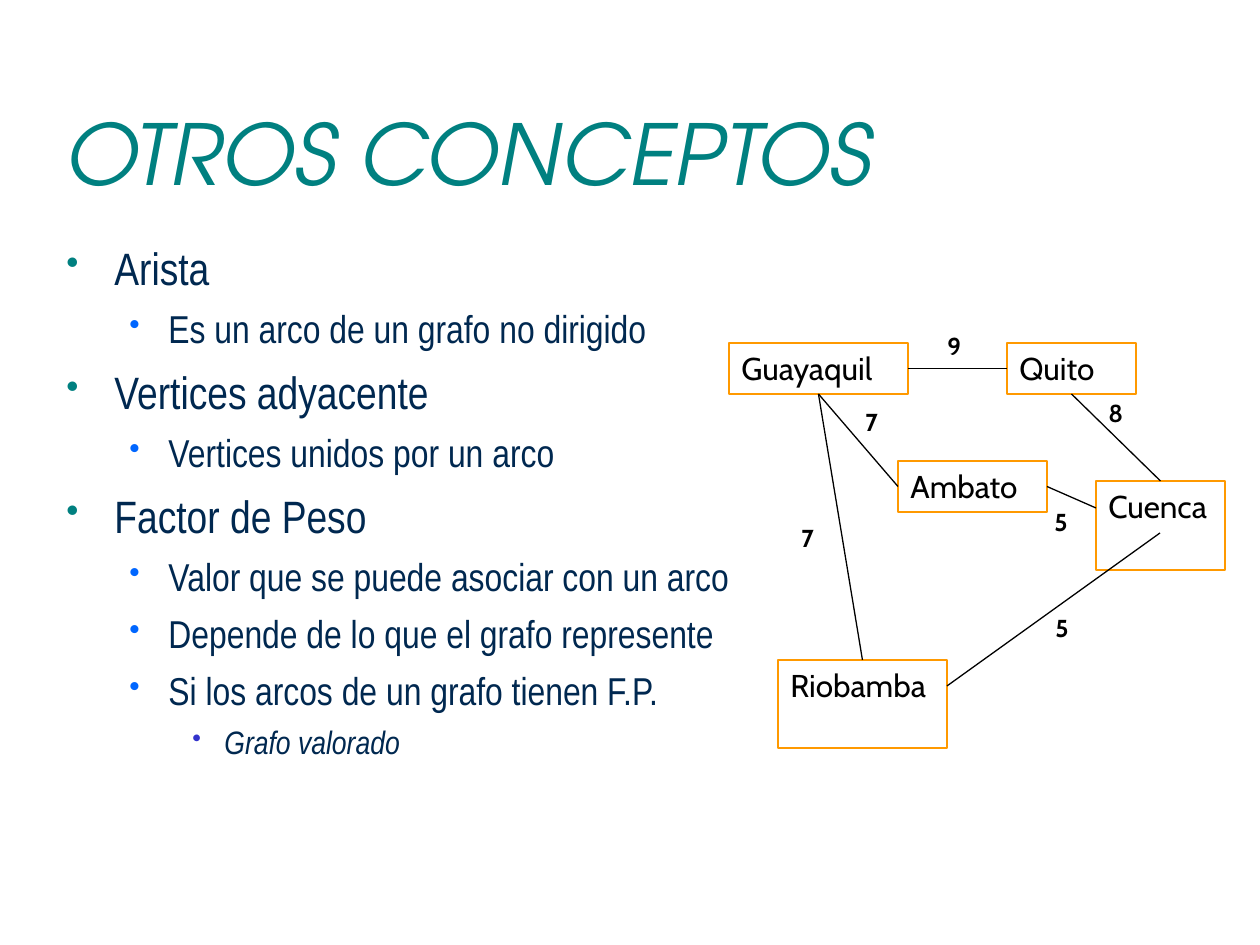
from dataclasses import dataclass
from lxml.etree import SubElement
from pptx import Presentation
from pptx.dml.color import RGBColor
from pptx.enum.shapes import MSO_CONNECTOR, MSO_SHAPE
from pptx.enum.text import MSO_ANCHOR, PP_ALIGN
from pptx.oxml.ns import qn
from pptx.util import Emu, Pt

PX = 914400 / 126
TOP, LEFT, BOTTOM, RIGHT = range(4)


@dataclass(frozen=True)
class Theme:
    """Colours, line width and type formats of the slide."""
    teal: str = "008080"
    navy: str = "002850"
    black: str = "000000"
    orange: str = "FF9900"
    bullets: tuple = ("008080", "0066FF", "3333CC")
    line: float = 0.75
    title = {"name": "TeX Gyre Adventor", "size": Pt(48), "italic": True}
    levels = (
        {"name": "Arial Narrow", "size": Pt(25.9)},
        {"name": "Arial Narrow", "size": Pt(22.2)},
        {"name": "Arial Narrow", "size": Pt(18.5), "italic": True},
    )
    node = {"name": "Cabin", "size": Pt(18)}
    weight = {"name": "Cabin", "size": Pt(14), "bold": True}


T = Theme()

POINTS = [
    (0, "Arista"),
    (1, "Es un arco de un grafo no dirigido"),
    (0, "Vertices adyacente"),
    (1, "Vertices unidos por un arco"),
    (0, "Factor de Peso"),
    (1, "Valor que se puede asociar con un arco"),
    (1, "Depende de lo que el grafo represente"),
    (1, "Si los arcos de un grafo tienen F.P."),
    (2, "Grafo valorado"),
]
INDENTS = [(48, 48), (102, 39), (158, 32)]
CITIES = {
    "Guayaquil": (0, 18, 179, 51),
    "Quito": (278, 18, 129, 51),
    "Cuenca": (367, 156, 129, 89),
    "Ambato": (169, 136, 149, 51),
    "Riobamba": (49, 335, 169, 88),
}
EDGES = [
    (("Guayaquil", RIGHT), ("Quito", LEFT)),
    (("Guayaquil", BOTTOM), ("Riobamba", TOP)),
    (("Guayaquil", BOTTOM), ("Ambato", LEFT)),
    (("Ambato", RIGHT), (367, 183)),
    ((218, 361), (431, 208)),
    (("Cuenca", TOP), ("Quito", BOTTOM)),
]
WEIGHTS = [
    ("5", 314, 282, 89),
    ("5", 313, 176, 49),
    ("7", 124, 76, 89),
    ("9", 206, 0, 49),
    ("8", 367, 67, 89),
    ("7", 60, 192, 49),
]


def px(n):
    """Turn px into EMU."""
    return Emu(round(n * PX))


def add_run(p, text, fmt, color):
    """Add a formatted run to a left-aligned paragraph."""
    p.alignment = PP_ALIGN.LEFT
    r = p.add_run()
    r.text = text
    for key, value in fmt.items():
        setattr(r.font, key, value)
    r.font.color.rgb = RGBColor.from_string(color)


def add_box(s, box, anchor=MSO_ANCHOR.TOP):
    """Add a wrapping text box and return its text frame."""
    tf = s.shapes.add_textbox(*map(px, box)).text_frame
    tf.word_wrap = True
    tf.vertical_anchor = anchor
    return tf


def add_bullet(p, level):
    """Give a paragraph the indent, spacing and bullet of its level."""
    margin, hang = INDENTS[level]
    p.level = level
    p.space_before = Pt(7 - level)
    pPr = p._p.get_or_add_pPr()
    pPr.set("marL", str(px(margin)))
    pPr.set("indent", str(-px(hang)))
    clr = SubElement(pPr, qn("a:buClr"))
    SubElement(clr, qn("a:srgbClr"), val=T.bullets[level])
    SubElement(pPr, qn("a:buSzPct"), val="80000")
    SubElement(pPr, qn("a:buChar"), char="•")


def add_title(s, box, text):
    """Add the slide title."""
    tf = add_box(s, box, MSO_ANCHOR.MIDDLE)
    add_run(tf.paragraphs[0], text, T.title, T.teal)


def add_points(s, box, points):
    """Add the bulleted list of concepts."""
    tf = add_box(s, box)
    for i, (level, text) in enumerate(points):
        p = tf.add_paragraph() if i else tf.paragraphs[0]
        add_bullet(p, level)
        add_run(p, text, T.levels[level], T.navy)


def add_city(s, box, name):
    """Add one outlined city node."""
    sp = s.shapes.add_shape(MSO_SHAPE.RECTANGLE, *map(px, box))
    sp.shadow.inherit = False
    sp.fill.background()
    sp.line.color.rgb = RGBColor.from_string(T.orange)
    sp.line.width = Pt(T.line)
    tf = sp.text_frame
    tf.word_wrap = True
    tf.vertical_anchor = MSO_ANCHOR.TOP
    add_run(tf.paragraphs[0], name, T.node, T.black)
    return sp


def add_edge(s, x, y, ends, cities):
    """Add one edge between city sides or free points."""
    free = [(0, 0) if end[0] in cities else end for end in ends]
    coords = [px(o + n) for end in free for o, n in zip((x, y), end)]
    c = s.shapes.add_connector(MSO_CONNECTOR.STRAIGHT, *coords)
    for join, (name, site) in zip((c.begin_connect, c.end_connect), ends):
        if name in cities:
            join(cities[name], site)
    c.line.color.rgb = RGBColor.from_string(T.black)
    c.line.width = Pt(T.line)
    SubElement(c._element.spPr, qn("a:effectLst"))


def add_graph(s, box):
    """Add the weighted graph of cities."""
    x, y, _, _ = box
    cities = {
        name: add_city(s, (x + dx, y + dy, w, h), name)
        for name, (dx, dy, w, h) in CITIES.items()
    }
    for ends in EDGES:
        add_edge(s, x, y, ends, cities)
    for text, dx, dy, w in WEIGHTS:
        tf = add_box(s, (x + dx, y + dy, w, 43))
        add_run(tf.paragraphs[0], text, T.weight, T.black)


def main():
    """Build and save the slide."""
    prs = Presentation()
    prs.slide_width, prs.slide_height = px(1260), px(945)
    s = prs.slides.add_slide(prs.slide_layouts[6])
    add_title(s, (53, 73, 1134, 158), "OTROS CONCEPTOS")
    add_points(s, (54, 234, 725, 567), POINTS)
    add_graph(s, (729, 325, 496, 423))
    prs.save("out.pptx")


if __name__ == "__main__":
    main()
